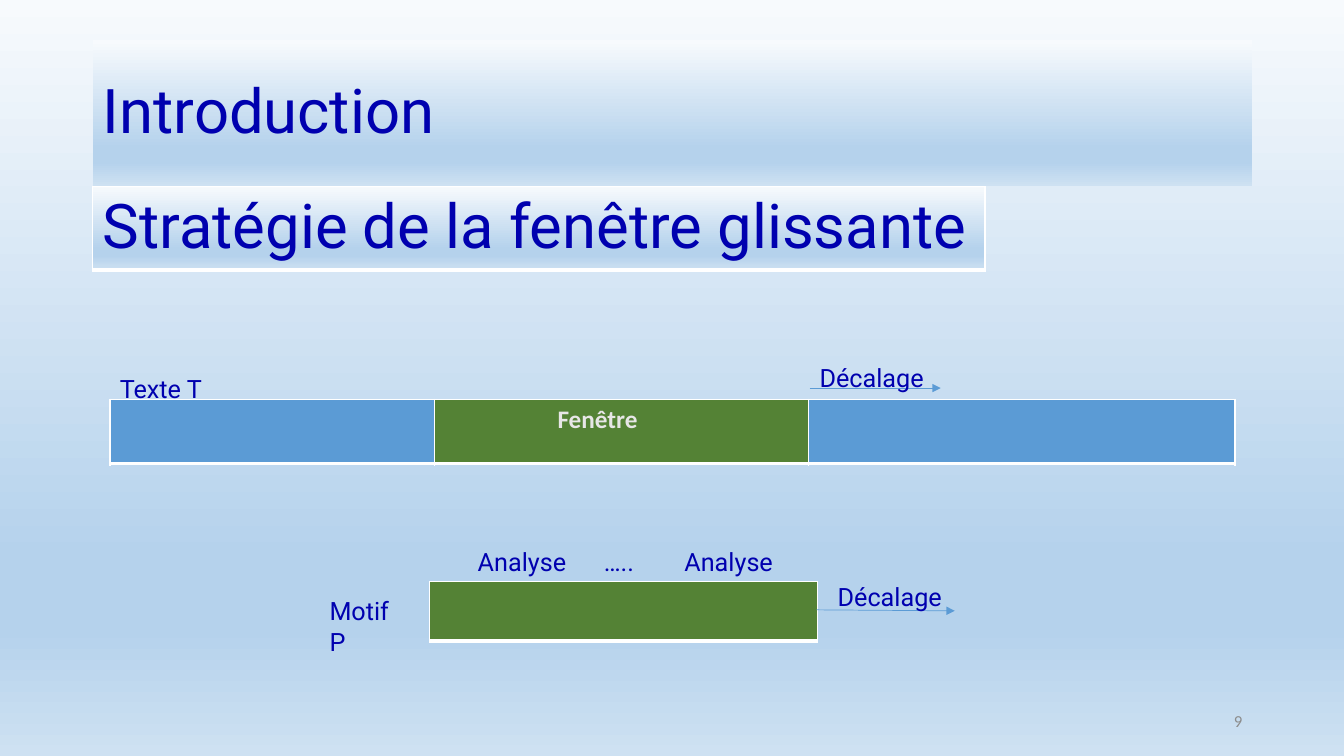
import pptx
import pptx.util
import pptx.dml.color
import pptx.enum.shapes
import pptx.enum.text
import pptx.oxml
import pptx.oxml.ns
from pptx.util import Inches

COLORS = {
    "text": "0000AF",
    "blue": "5B9BD5",
    "green": "548235",
    "window": "E7E6E6",
    "number": "8C8C8C",
    "border": "FFFFFF",
}
GRADIENT = [(0, "F7FAFD"), (74, "B5D2EC"), (83, "B5D2EC"), (100, "CEE1F2")]
BORDERS = [("lnL", 1), ("lnR", 1), ("lnT", 1), ("lnB", 3)]
NAMESPACE = pptx.oxml.ns.nsdecls("a")
qn = pptx.oxml.ns.qn


def set_gradient(fill, element):
    """Give fill the vertical gradient; element is the XML that holds the fill."""
    fill.gradient()
    fill.gradient_angle = 270
    stops = next(element.iter(qn("a:gsLst")))
    for stop in list(stops):
        stops.remove(stop)
    for position, color in GRADIENT:
        stops.append(pptx.oxml.parse_xml(
            f'<a:gs {NAMESPACE} pos="{position * 1000}"><a:srgbClr val="{color}"/></a:gs>'))


def format_text(paragraph, size, color, font="Roboto", bold=False):
    for run in paragraph.runs:
        run.font.size = pptx.util.Pt(size)
        run.font.name = font
        run.font.bold = bold
        run.font.color.rgb = pptx.dml.color.RGBColor.from_string(COLORS[color])


presentation = pptx.Presentation()
presentation.slide_width = Inches(13.33)
presentation.slide_height = Inches(7.5)
slide = presentation.slides.add_slide(presentation.slide_layouts[5])
set_gradient(slide.background.fill, slide.element)

# Title
title = slide.shapes.title
title.left, title.top = Inches(0.92), Inches(0.4)
title.width, title.height = Inches(11.5), Inches(1.45)
set_gradient(title.fill, title.element)
title.text_frame.text = "Introduction"
title.text_frame.vertical_anchor = pptx.enum.text.MSO_ANCHOR.MIDDLE
paragraph = title.text_frame.paragraphs[0]
paragraph.alignment = pptx.enum.text.PP_ALIGN.LEFT
paragraph.line_spacing = 0.9
format_text(paragraph, 44, "text")

# Text bar, pattern bar and heading: left, top, height, cells (width, fill, text)
bars = [
    (1.09, 3.96, 0.64, [(3.22, "blue", ""), (3.71, "green", "Fenêtre"), (4.23, "blue", "")]),
    (4.26, 5.77, 0.59, [(3.85, "green", "")]),
    (0.92, 1.85, 0.83, [(8.85, None, "Stratégie de la fenêtre glissante")]),
]
for left, top, height, cells in bars:
    total = sum(width for width, _, _ in cells)
    frame = slide.shapes.add_table(
        1, len(cells), Inches(left), Inches(top), Inches(total), Inches(height))
    table = frame.table
    table.first_row = table.horz_banding = False
    for column, (width, color, text) in enumerate(cells):
        table.columns[column].width = Inches(width)
        cell = table.cell(0, column)
        cell.text_frame.text = text
        if color:
            cell.fill.solid()
            cell.fill.fore_color.rgb = pptx.dml.color.RGBColor.from_string(COLORS[color])
            cell.margin_left = Inches(1.22 if text else 0.1)
            format_text(cell.text_frame.paragraphs[0], 18, "window", "Calibri", True)
        else:
            set_gradient(cell.fill, frame.element)
            format_text(cell.text_frame.paragraphs[0], 44, "text")
    for properties in frame.element.iter(qn("a:tcPr")):
        for index, (side, points) in enumerate(BORDERS):
            properties.insert(index, pptx.oxml.parse_xml(
                f'<a:{side} {NAMESPACE} w="{points * 12700}"><a:solidFill>'
                f'<a:srgbClr val="{COLORS["border"]}"/></a:solidFill></a:{side}>'))

# Shift arrows
for left, start, right, end in [(8.1, 6.05, 9.47, 6.06), (8.03, 3.85, 9.33, 3.85)]:
    arrow = slide.shapes.add_connector(
        pptx.enum.shapes.MSO_CONNECTOR.STRAIGHT,
        Inches(left), Inches(start), Inches(right), Inches(end))
    arrow.line.width = pptx.util.Pt(0.5)
    arrow.line.color.rgb = pptx.dml.color.RGBColor.from_string(COLORS["blue"])
    shape_properties = arrow.element.find(qn("p:spPr"))
    shape_properties.find(qn("a:ln")).append(
        pptx.oxml.parse_xml(f'<a:tailEnd {NAMESPACE} type="triangle"/>'))
    shape_properties.append(pptx.oxml.parse_xml(f"<a:effectLst {NAMESPACE}/>"))

# Labels
labels = [
    ("Texte T", 1.09, 3.65, 1.1),
    ("Motif P", 3.17, 5.86, 0.9),
    ("Décalage", 8.03, 3.55, 1.55),
    ("Décalage", 8.21, 5.72, 1.27),
    ("Analyse\t…..\tAnalyse", 4.64, 5.37, 3.36),
    ("9", 9.42, 6.95, 3),
]
for text, left, top, width in labels:
    label = slide.shapes.add_textbox(Inches(left), Inches(top), Inches(width), Inches(0.4))
    label.text_frame.word_wrap = True
    label.text_frame.text = text
    paragraph = label.text_frame.paragraphs[0]
    if text == "9":
        label.text_frame.vertical_anchor = pptx.enum.text.MSO_ANCHOR.MIDDLE
        paragraph.alignment = pptx.enum.text.PP_ALIGN.RIGHT
        format_text(paragraph, 12, "number", "Calibri")
        continue
    format_text(paragraph, 18, "text")
    if "\t" in text:
        tabs = "".join(f'<a:tab pos="{Inches(stop)}" algn="l"/>' for stop in (1.25, 2.05))
        paragraph_properties = paragraph._p.get_or_add_pPr()
        paragraph_properties.append(
            pptx.oxml.parse_xml(f"<a:tabLst {NAMESPACE}>{tabs}</a:tabLst>"))

presentation.save("out.pptx")
